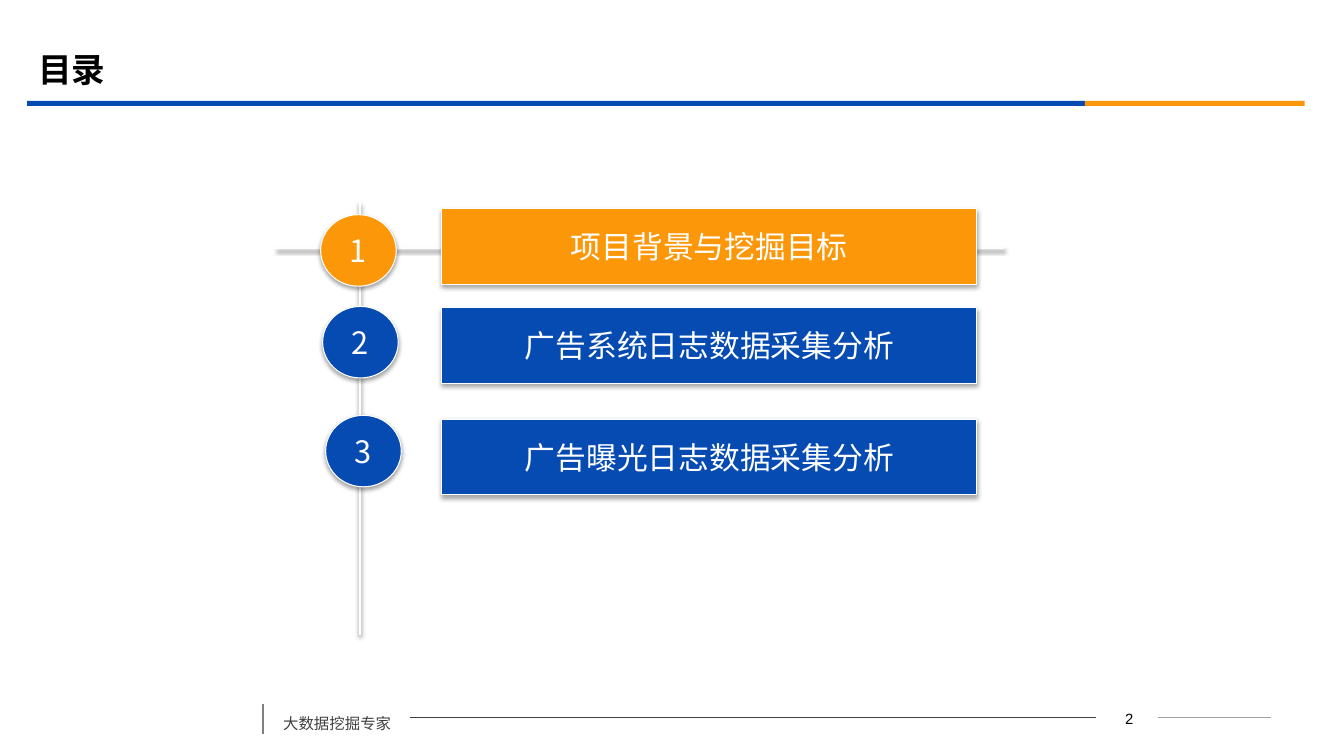
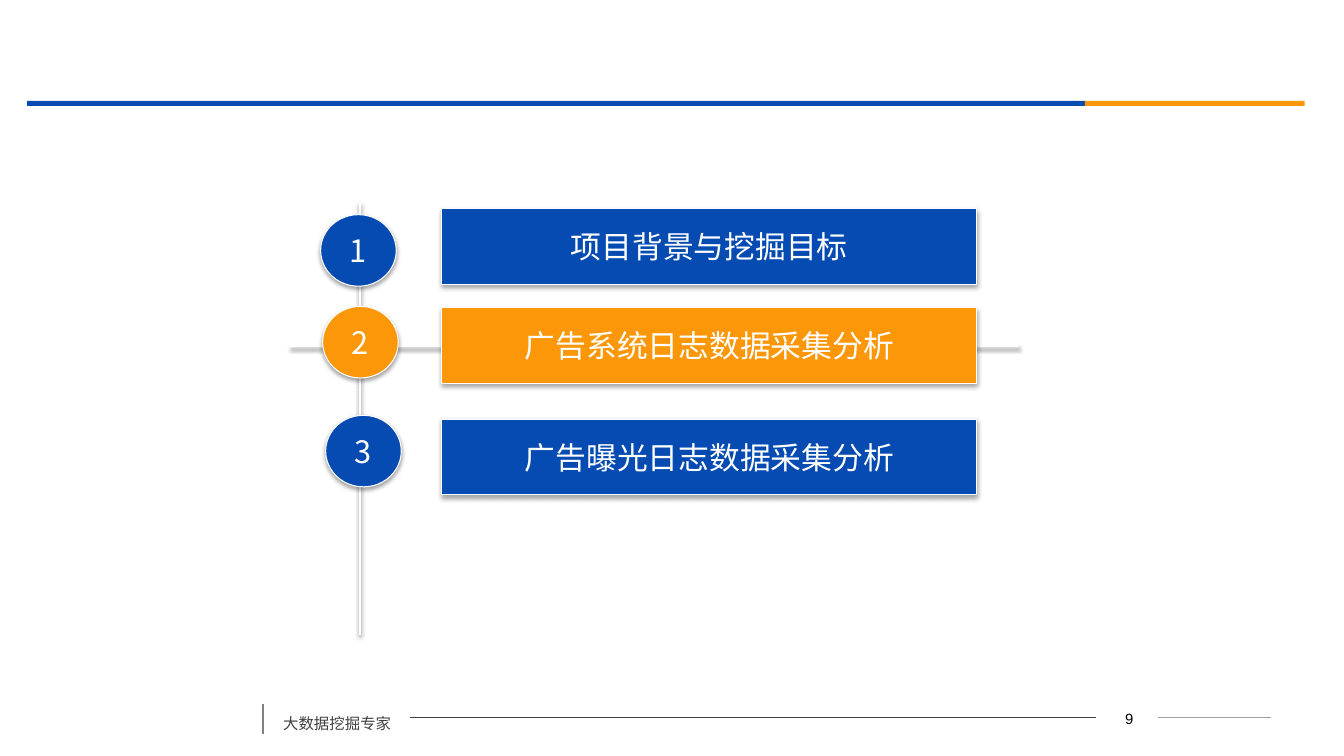
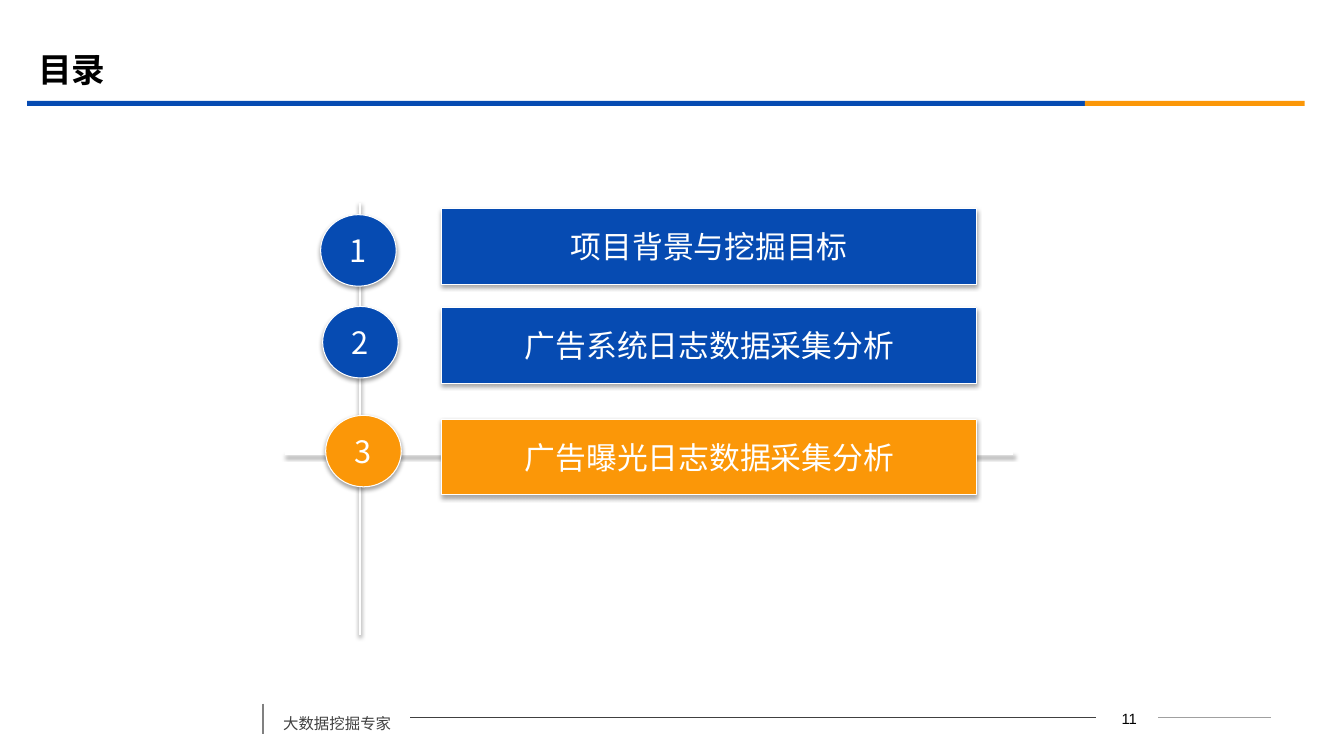
from collections import namedtuple
from dataclasses import dataclass
from lxml.etree import SubElement as Sub
from pptx import Presentation
from pptx.dml.color import RGBColor as Rgb
from pptx.enum.shapes import MSO_CONNECTOR as Link, MSO_SHAPE as Kind
from pptx.enum.text import MSO_ANCHOR as Anchor, PP_ALIGN as Align
from pptx.oxml.ns import qn
from pptx.util import Inches, Pt


@dataclass(frozen=True)
class Theme:
    """Colours, fonts and type sizes of the deck."""
    blue: str = "064BB2"
    gold: str = "FB9708"
    white: str = "FFFFFF"
    black: str = "000000"
    dark: str = "404040"
    mid: str = "808080"
    light: str = "A0A0A0"
    han: str = "Noto Sans CJK SC"
    latin: str = "Arial"
    title: float = 24
    item: float = 22
    foot: float = 11
    page: float = 10.6


Box = namedtuple("Box", "x y w h")
Item = namedtuple("Item", "text disc_x disc_y bar_y rule_x rule_y")
T = Theme()
WIDE, HIGH = 13.33, 7.5
HEAD = Box(0.27, 0.39, 12.67, 0.66)
LIST = Box(2.74, 2.01, 7.36, 4.29)
FOOT = Box(2.61, 6.94, 10, 0.38)
ITEMS = [
    Item("项目背景与挖掘目标", 0.44, 0.12, 0.06, 0, 0.45),
    Item("广告系统日志数据采集分析", 0.46, 1.03, 1.04, 0.14, 1.42),
    Item("广告曝光日志数据采集分析", 0.49, 2.11, 2.15, 0.09, 2.49),
]


def put(frame, text, size, color, font=T.han, bold=False, align=Align.LEFT,
        anchor=Anchor.TOP, wrap=True, space=None):
    """Write one formatted paragraph into a text frame."""
    frame.word_wrap = wrap
    frame.vertical_anchor = anchor
    para = frame.paragraphs[0]
    para.alignment = align
    para.line_spacing = space
    run = para.add_run()
    run.text = text
    run.font.name, run.font.size, run.font.bold = font, Pt(size), bold
    run.font.color.rgb = Rgb.from_string(color)
    Sub(run.font._element, qn("a:ea")).set("typeface", font)


def note(slide, box, text, size, color, **form):
    """Add a text box."""
    area = slide.shapes.add_textbox(*map(Inches, box))
    put(area.text_frame, text, size, color, **form)


def shade(shape, alpha, dist):
    """Give a shape a soft shadow straight below it."""
    props = shape._element.spPr
    glow = Sub(Sub(props, qn("a:effectLst")), qn("a:outerShdw"), blurRad=str(Pt(3.1)),
               dist=str(Pt(dist)), dir="5400000", algn="ctr", rotWithShape="0")
    tint = Sub(glow, qn("a:srgbClr"), val=T.black)
    Sub(tint, qn("a:alpha"), val=str(alpha * 1000))


def rule(slide, start, end, color, width, soft=False):
    """Draw a straight line, with a shadow if soft."""
    line = slide.shapes.add_connector(Link.STRAIGHT, *map(Inches, start + end))
    line.line.color.rgb = Rgb.from_string(color)
    line.line.width = Pt(width)
    if soft:
        shade(line, 38, 1.6)
    else:
        Sub(line._element.spPr, qn("a:effectLst"))


def block(slide, kind, box, fill):
    """Add a filled shape without outline or shadow."""
    shape = slide.shapes.add_shape(kind, *map(Inches, box))
    shape.fill.solid()
    shape.fill.fore_color.rgb = Rgb.from_string(fill)
    shape.line.fill.background()
    return shape


def badge(slide, kind, box, fill, text):
    """Add a raised, white-edged shape with a centred label."""
    shape = block(slide, kind, box, fill)
    shape.line.color.rgb = Rgb.from_string(T.white)
    shape.line.width = Pt(0.75)
    shade(shape, 35, 1.8)
    put(shape.text_frame, text, T.item, T.white, align=Align.CENTER,
        anchor=Anchor.MIDDLE, wrap=False)


def header(slide, box, title):
    """Place the title over the two-colour band."""
    x, y, w, h = box
    part, thick = 10.49, 0.05
    top = y + h - thick
    for left, wide, fill in ((x, part, T.blue), (x + part, w - part, T.gold)):
        shape = block(slide, Kind.RECTANGLE, (left, top, wide, thick), fill)
        shape.shadow.inherit = False
    if title:
        note(slide, (x + 0.01, y, 12, 0.58), title, T.title, T.black,
             bold=True, anchor=Anchor.MIDDLE)


def footer(slide, box, page):
    """Place the motto, the page number and the thin rules."""
    x, y, w, h = box
    mid = y + 0.18
    rule(slide, (x, y + 0.04), (x, y + 0.34), T.mid, 1.25)
    note(slide, (x + 0.1, y, 1.36, h), "大数据挖掘专家", T.foot, T.dark, space=1.5)
    rule(slide, (x + 1.46, mid), (x + 8.26, mid), T.dark, 0.75)
    note(slide, (x + 8.28, y + 0.05, 0.62, 0.25), str(page), T.page, T.black,
         font=T.latin, align=Align.CENTER)
    rule(slide, (x + 8.88, mid), (x + w, mid), T.light, 0.75)


def agenda(slide, box, active):
    """Place the numbered items and mark the active one."""
    x, y, w, h = box
    stem = x + 0.83
    rule(slide, (stem, y), (stem, y + h), T.white, 2, soft=True)
    now = ITEMS[active - 1]
    left, level = x + now.rule_x, y + now.rule_y
    rule(slide, (left, level), (left + 7.22, level), T.white, 2, soft=True)
    for num, item in enumerate(ITEMS, 1):
        fill = T.gold if num == active else T.blue
        badge(slide, Kind.OVAL, (x + item.disc_x, y + item.disc_y, 0.75, 0.71),
              fill, str(num))
        badge(slide, Kind.ACTION_BUTTON_CUSTOM, (x + 1.64, y + item.bar_y, 5.31, 0.75),
              fill, item.text)


def main():
    """Build the three agenda slides."""
    deck = Presentation()
    deck.slide_width, deck.slide_height = Inches(WIDE), Inches(HIGH)
    for active, (title, page) in enumerate((("目录", 2), ("", 9), ("目录", 11)), 1):
        slide = deck.slides.add_slide(deck.slide_layouts[6])
        header(slide, HEAD, title)
        footer(slide, FOOT, page)
        agenda(slide, LIST, active)
    deck.save("out.pptx")


if __name__ == "__main__":
    main()
